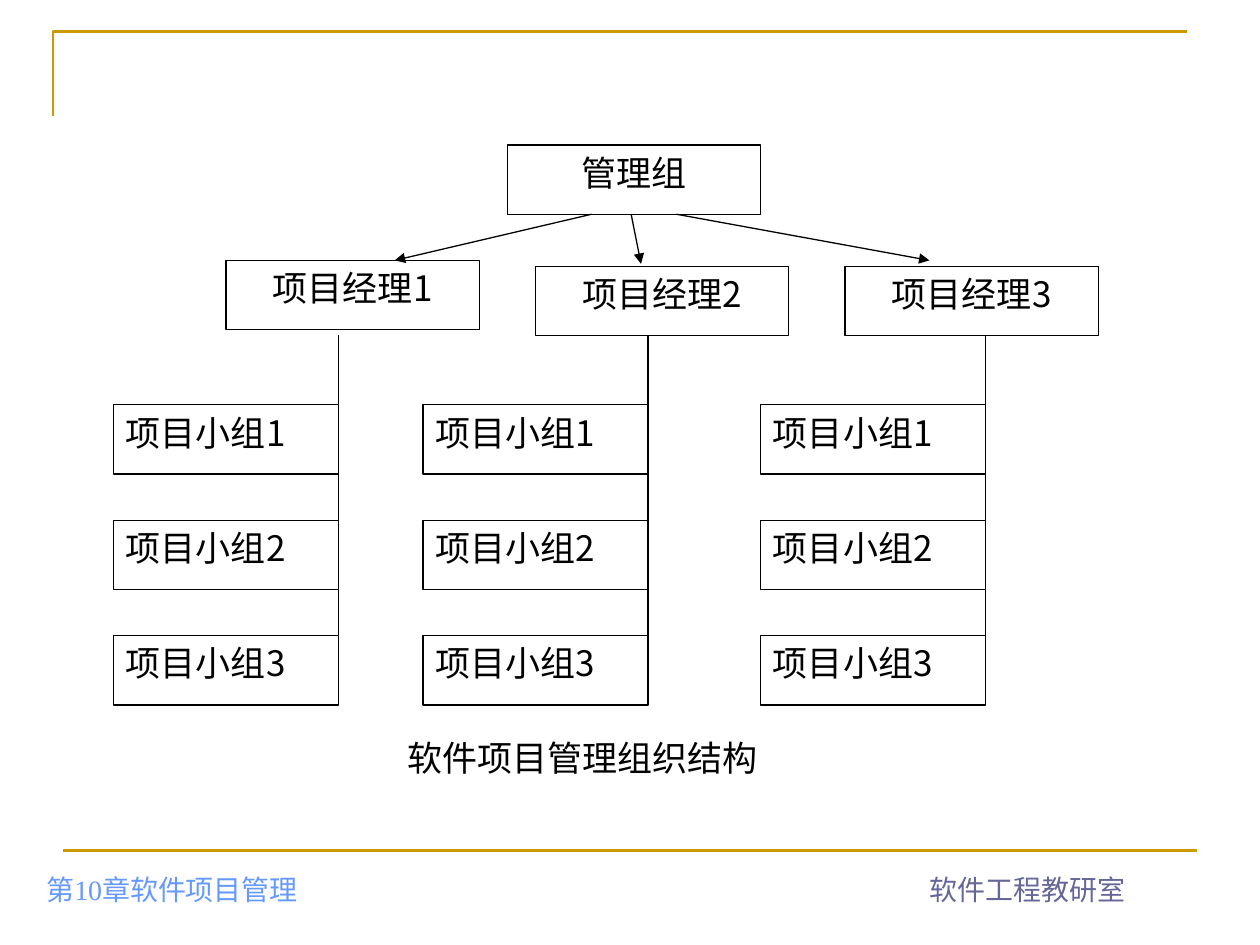
from lxml import etree
from pptx import Presentation, util as u
from pptx.dml.color import RGBColor
from pptx.enum import shapes, text
from pptx.oxml.ns import qn

THEME = {
    "black": RGBColor.from_string("000000"),
    "white": RGBColor.from_string("FFFFFF"),
    "gold": RGBColor.from_string("CC9900"),
    "blue": RGBColor.from_string("6699FF"),
    "violet": RGBColor.from_string("666699"),
    "sans": "Noto Sans CJK SC",
    "serif": "Times New Roman",
    "body_size": u.Pt(20),
    "footer_size": u.Pt(16),
    "thin": u.Pt(0.75),
    "thick": u.Pt(1.5),
}

presentation = Presentation()
presentation.slide_width, presentation.slide_height = u.Inches(10), u.Inches(7.5)
slide = presentation.slides.add_slide(presentation.slide_layouts[6])
WIDTH, HEIGHT = presentation.slide_width, presentation.slide_height

# The chart's grid: its origin and the size of one column and one row
LEFT, TOP = u.Inches(0.9), u.Inches(1.15)
COLUMN, ROW = u.Inches(2.01) / 9, u.Inches(0.55) / 3
BOX_ROWS = 3
TEAM_COLUMNS, MANAGER_COLUMNS = 8, 9
MANAGER_ROW, TEAM_ROW, TEAM_STEP = 5.25, 11.25, 5


def add_label(label, column, row, columns, alignment, outlined=True):
    """Add a white box of text, placed in grid columns and rows."""
    box = slide.shapes.add_shape(
        shapes.MSO_SHAPE.RECTANGLE,
        int(LEFT + column * COLUMN), int(TOP + row * ROW),
        int(columns * COLUMN), int(BOX_ROWS * ROW))
    box.shadow.inherit = False
    box.fill.solid()
    box.fill.fore_color.rgb = THEME["white"]
    if outlined:
        box.line.color.rgb = THEME["black"]
        box.line.width = THEME["thin"]
    else:
        box.line.fill.background()
    frame = box.text_frame
    frame.word_wrap = True
    frame.vertical_anchor = text.MSO_ANCHOR.TOP
    paragraph = frame.paragraphs[0]
    paragraph.text = label
    paragraph.alignment = alignment
    paragraph.font.name = THEME["sans"]
    paragraph.font.size = THEME["body_size"]
    paragraph.font.color.rgb = THEME["black"]
    properties = paragraph._p.find(".//" + qn("a:defRPr"))
    etree.SubElement(properties, qn("a:ea"), typeface=THEME["sans"])


def add_line(start, end, color="black", width="thin", arrow=False):
    """Add a straight line between two (x, y) points in EMU."""
    line = slide.shapes.add_connector(
        shapes.MSO_CONNECTOR.STRAIGHT, *(int(value) for value in (*start, *end)))
    line.line.color.rgb = THEME[color]
    line.line.width = THEME[width]
    if arrow:
        etree.SubElement(line.line._get_or_add_ln(), qn("a:tailEnd"), type="triangle")
    etree.SubElement(line._element.spPr, qn("a:effectLst"))


# Frame lines
builder = slide.shapes.build_freeform(int(0.042 * WIDTH), int(0.123 * HEIGHT))
builder.add_line_segments(
    [(int(0.042 * WIDTH), int(0.033 * HEIGHT)), (int(0.942 * WIDTH), int(0.033 * HEIGHT))],
    close=False)
corner = builder.convert_to_shape()
corner.shadow.inherit = False
corner.fill.background()
corner.line.color.rgb = THEME["gold"]
corner.line.width = THEME["thick"]
add_line((0.05 * WIDTH, 0.9 * HEIGHT), (0.95 * WIDTH, 0.9 * HEIGHT), "gold", "thick")

# Footer
for label, left, width, color, alignment in (
    ("第10章软件项目管理", 0.027, 0.394, "blue", text.PP_ALIGN.LEFT),
    ("软件工程教研室", 0.657, 0.317, "violet", text.PP_ALIGN.CENTER),
):
    footer = slide.shapes.add_textbox(
        int(left * WIDTH), u.Inches(6.74), int(width * WIDTH), u.Inches(0.5))
    footer.text_frame.word_wrap = True
    footer.text_frame.vertical_anchor = text.MSO_ANCHOR.BOTTOM
    paragraph = footer.text_frame.paragraphs[0]
    paragraph.text = label
    paragraph.alignment = alignment
    paragraph.font.name = THEME["serif"]
    paragraph.font.size = THEME["footer_size"]
    paragraph.font.color.rgb = THEME[color]

# Caption and management group
add_label("软件项目管理组织结构", 10, 25.35, 18, text.PP_ALIGN.JUSTIFY, outlined=False)
add_label("管理组", 14, 0, MANAGER_COLUMNS, text.PP_ALIGN.CENTER)

# Each manager with a trunk line and three teams
for number, (manager_column, manager_row, team_column) in enumerate(
        ((4, 5, 0), (15, MANAGER_ROW, 11), (26, MANAGER_ROW, 23)), start=1):
    add_label(f"项目经理{number}", manager_column, manager_row,
              MANAGER_COLUMNS, text.PP_ALIGN.CENTER)
    trunk = LEFT + (team_column + TEAM_COLUMNS) * COLUMN
    add_line((trunk, TOP + (MANAGER_ROW + BOX_ROWS) * ROW),
             (trunk, TOP + (TEAM_ROW + 2 * TEAM_STEP + BOX_ROWS) * ROW))
    for team in range(3):
        add_label(f"项目小组{team + 1}", team_column, TEAM_ROW + team * TEAM_STEP,
                  TEAM_COLUMNS, text.PP_ALIGN.JUSTIFY)

# Arrows from the management group to the managers
for start_column, end_column, end_row in ((17, 10, 5), (18.4, 18.75, 5.15), (20, 29, 5)):
    add_line((LEFT + start_column * COLUMN, TOP + BOX_ROWS * ROW),
             (LEFT + end_column * COLUMN, TOP + end_row * ROW), arrow=True)

presentation.save("out.pptx")
